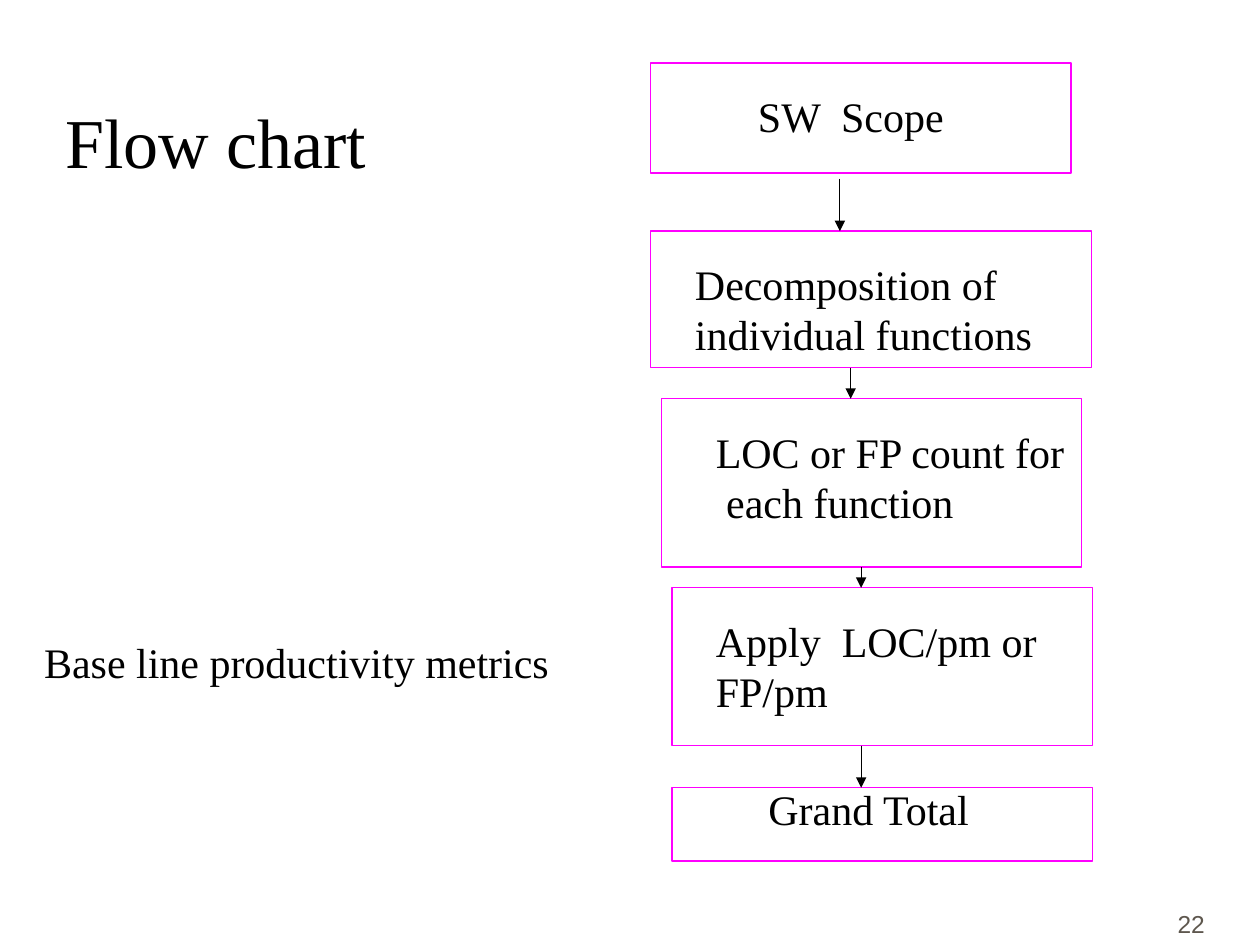
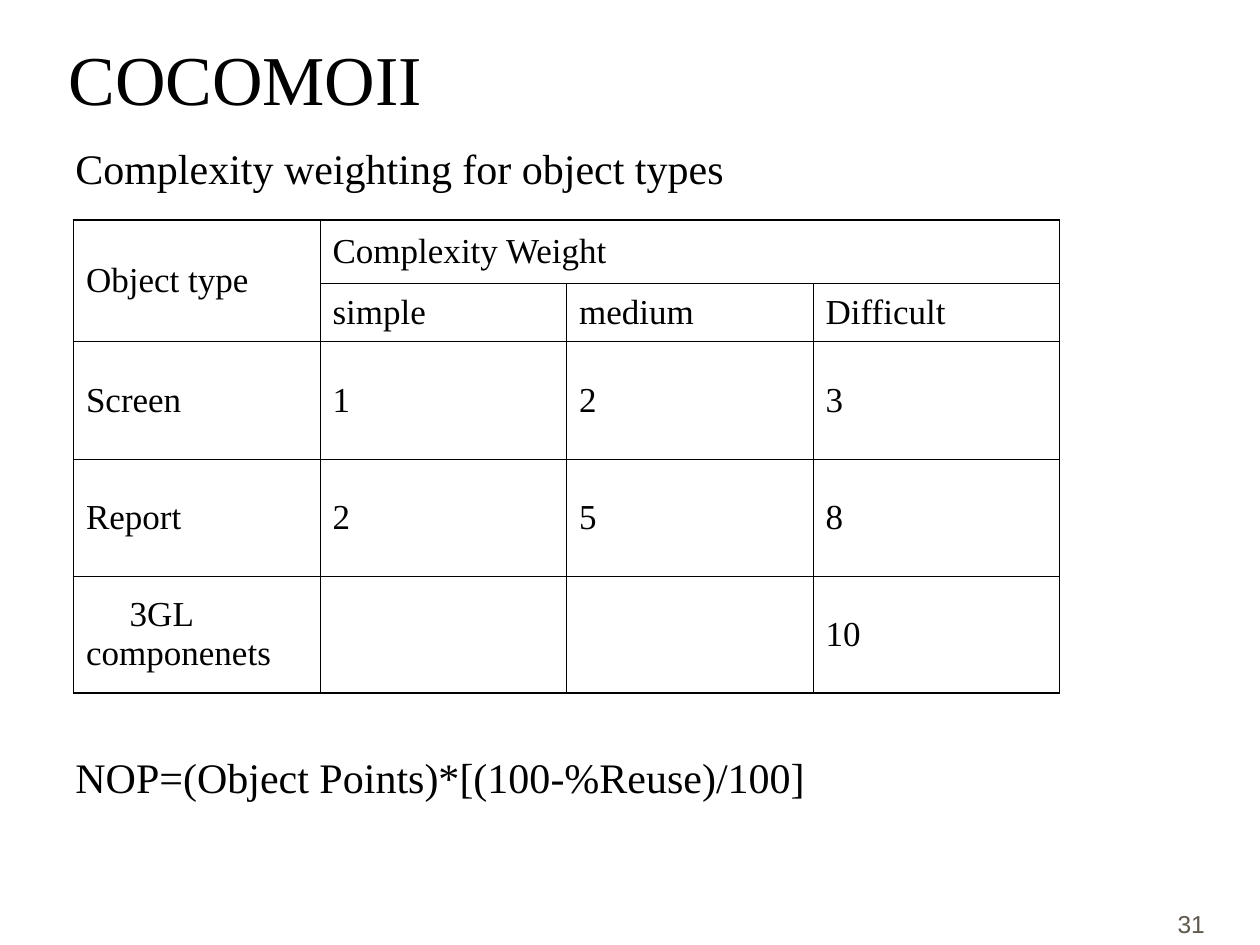
"""Build the flow chart and COCOMOII slides."""
from lxml import etree
from pptx import Presentation
from pptx.dml.color import RGBColor
from pptx.enum.shapes import MSO_CONNECTOR, MSO_SHAPE
from pptx.enum.text import MSO_ANCHOR, PP_ALIGN
from pptx.oxml.ns import qn
from pptx.util import Cm, Pt

STRAIGHT, RECTANGLE = MSO_CONNECTOR.STRAIGHT, MSO_SHAPE.RECTANGLE
TOP, MIDDLE, BOTTOM = MSO_ANCHOR.TOP, MSO_ANCHOR.MIDDLE, MSO_ANCHOR.BOTTOM
LEFT, RIGHT = PP_ALIGN.LEFT, PP_ALIGN.RIGHT
SERIF, SANS = "Times New Roman", "Arial"
BLACK, MAGENTA, GREY = "000000", "FF00FF", "5E574E"
TITLE_SIZE, BODY_SIZE, TABLE_SIZE, NUMBER_SIZE = 40, 24, 20, 14


def colour(value):
    return RGBColor.from_string(value)


def write(slide, text, box, size=BODY_SIZE, font=SERIF, ink=BLACK, anchor=TOP, align=LEFT):
    frame = slide.shapes.add_textbox(*map(Cm, box)).text_frame
    frame.word_wrap = True
    frame.vertical_anchor = anchor
    frame.text = text
    for paragraph in frame.paragraphs:
        paragraph.alignment = align
        paragraph.font.size = Pt(size)
        paragraph.font.name = font
        paragraph.font.color.rgb = colour(ink)


deck = Presentation()
deck.slide_width, deck.slide_height = Cm(25.4), Cm(19.05)

pages = []
for title, title_box, number in (
    ("Flow chart", (1.07, 0.64, 7.62, 3.16), "22"),
    ("COCOMOII", (1.13, 0.64, 21.59, 1.9), "31"),
):
    page = deck.slides.add_slide(deck.slide_layouts[6])
    write(page, number, (19.26, 17.78, 5.28, 1.27), NUMBER_SIZE, SANS, GREY, BOTTOM, RIGHT)
    write(page, title, title_box, TITLE_SIZE, anchor=BOTTOM)
    pages.append(page)
flow, cocomo = pages

steps = [
    ("SW  Scope", (13.12, 1.27, 8.47, 2.22), (15.03, 0.42, 4.6, 1.27)),
    ("Decomposition of individual functions", (13.12, 4.66, 8.89, 2.75), (13.76, 0.42, 7.62, 2.29)),
    ("LOC or FP count for\n each function", (13.34, 8.04, 8.47, 3.39), (14.18, 0.43, 7.8, 2.29)),
    ("Apply  LOC/pm or\nFP/pm", (13.55, 11.85, 8.47, 3.18), (14.18, 0.43, 7.5, 2.29)),
    ("Grand Total", (13.55, 15.88, 8.47, 1.48), (15.24, -0.22, 5.1, 1.27)),
]
for label, box, (label_left, label_drop, label_width, label_height) in steps:
    step = flow.shapes.add_shape(RECTANGLE, *map(Cm, box))
    step.shadow.inherit = False
    step.fill.background()
    step.line.color.rgb = colour(MAGENTA)
    step.line.width = Pt(0.75)
    write(flow, label, (label_left, box[1] + label_drop, label_width, label_height))

arrow_places = [(16.93, 0.11), (17.15, 0), (17.36, 0), (17.36, 0)]
for (x, gap), (_, above, _), (_, below, _) in zip(arrow_places, steps, steps[1:]):
    start = above[1] + above[3] + gap
    arrow = flow.shapes.add_connector(STRAIGHT, Cm(x), Cm(start), Cm(x), Cm(below[1]))
    arrow.line.color.rgb = colour(BLACK)
    arrow.line.width = Pt(0.75)
    etree.SubElement(arrow.line._get_or_add_ln(), qn("a:tailEnd"), type="triangle")
    etree.SubElement(arrow._element.spPr, qn("a:effectLst"))

write(flow, "Base line productivity metrics", (0.64, 12.7, 10.8, 1.27))

weights = [
    ["Object type", "Complexity Weight", "", ""],
    ["", "simple", "medium", "Difficult"],
    ["Screen", "1", "2", "3"],
    ["Report", "2", "5", "8"],
    ["3GL componenets", "", "", "10"],
]
row_heights = [1.27, 1.18, 2.36, 2.36, 2.36]
column_width = 4.97
grid = cocomo.shapes.add_table(
    5, 4, Cm(1.48), Cm(4.44), Cm(4 * column_width), Cm(sum(row_heights))
).table
grid.first_row = grid.horz_banding = False
for column in grid.columns:
    column.width = Cm(column_width)
for row, height in zip(grid.rows, row_heights):
    row.height = Cm(height)
grid.cell(0, 0).merge(grid.cell(1, 0))
grid.cell(0, 1).merge(grid.cell(0, 3))

for r, row_texts in enumerate(weights):
    for c, text in enumerate(row_texts):
        cell = grid.cell(r, c)
        cell.fill.background()
        cell.vertical_anchor = MIDDLE
        if text:
            cell.text = text
        entry = cell.text_frame.paragraphs[0]
        entry.font.size = Pt(TABLE_SIZE)
        entry.font.name = SERIF
        entry.font.color.rgb = colour(BLACK)
        if text.startswith("3GL"):
            entry._p.get_or_add_pPr().set("indent", str(Cm(0.88)))
        properties = cell._tc.get_or_add_tcPr()
        outer_edges = {"lnL": c == 0, "lnR": c == 3, "lnT": r == 0, "lnB": r == 4}
        if cell.is_merge_origin:
            outer_edges["lnR"] = c + cell.span_width == 4
        for place, (side, outer) in enumerate(outer_edges.items()):
            if cell.is_spanned and not outer:
                continue
            edge = etree.Element(qn("a:" + side), w=str(Pt(1.08 if outer else 0.45)))
            ink = etree.SubElement(edge, qn("a:solidFill"))
            etree.SubElement(ink, qn("a:srgbClr"), val=BLACK)
            properties.insert(place, edge)

write(cocomo, "Complexity weighting for object types", (1.27, 2.75, 23.07, 1.27))
write(cocomo, "NOP=(Object Points)*[(100-%Reuse)/100]", (1.27, 15.03, 16.72, 1.27))

deck.save("out.pptx")
